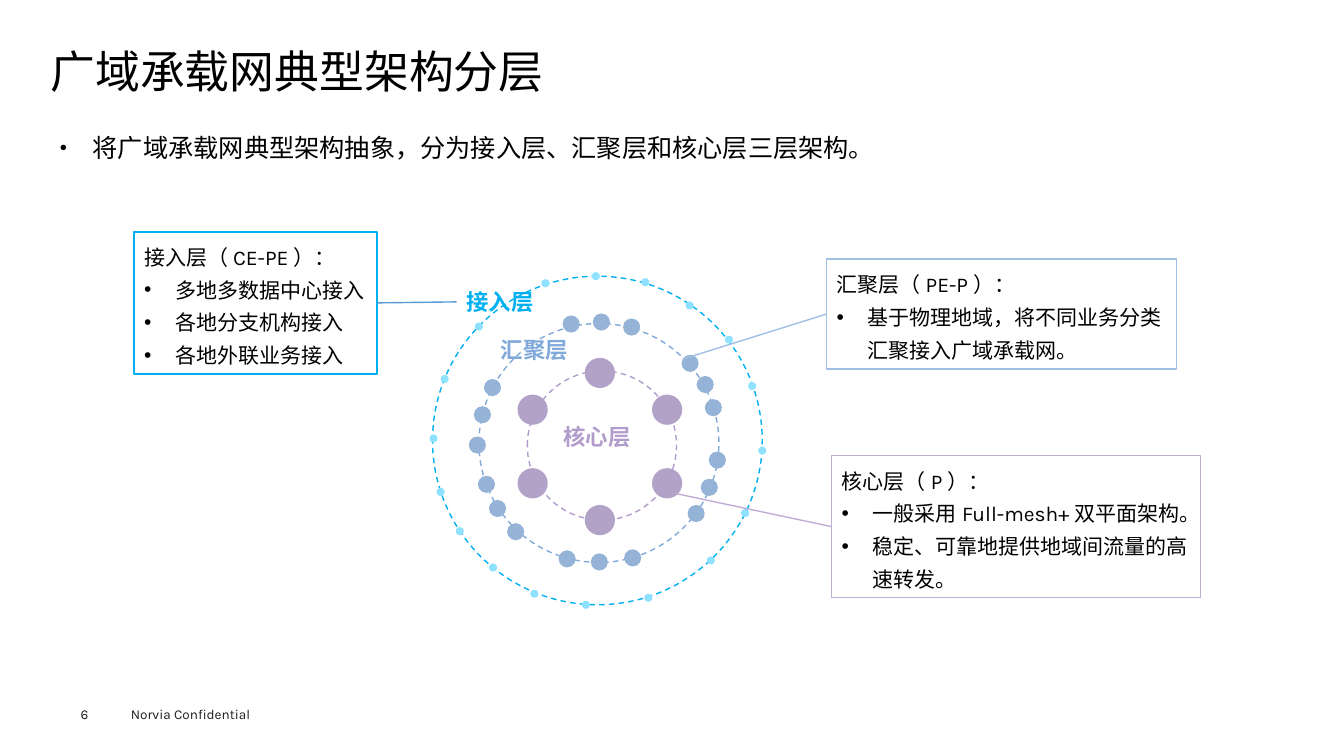
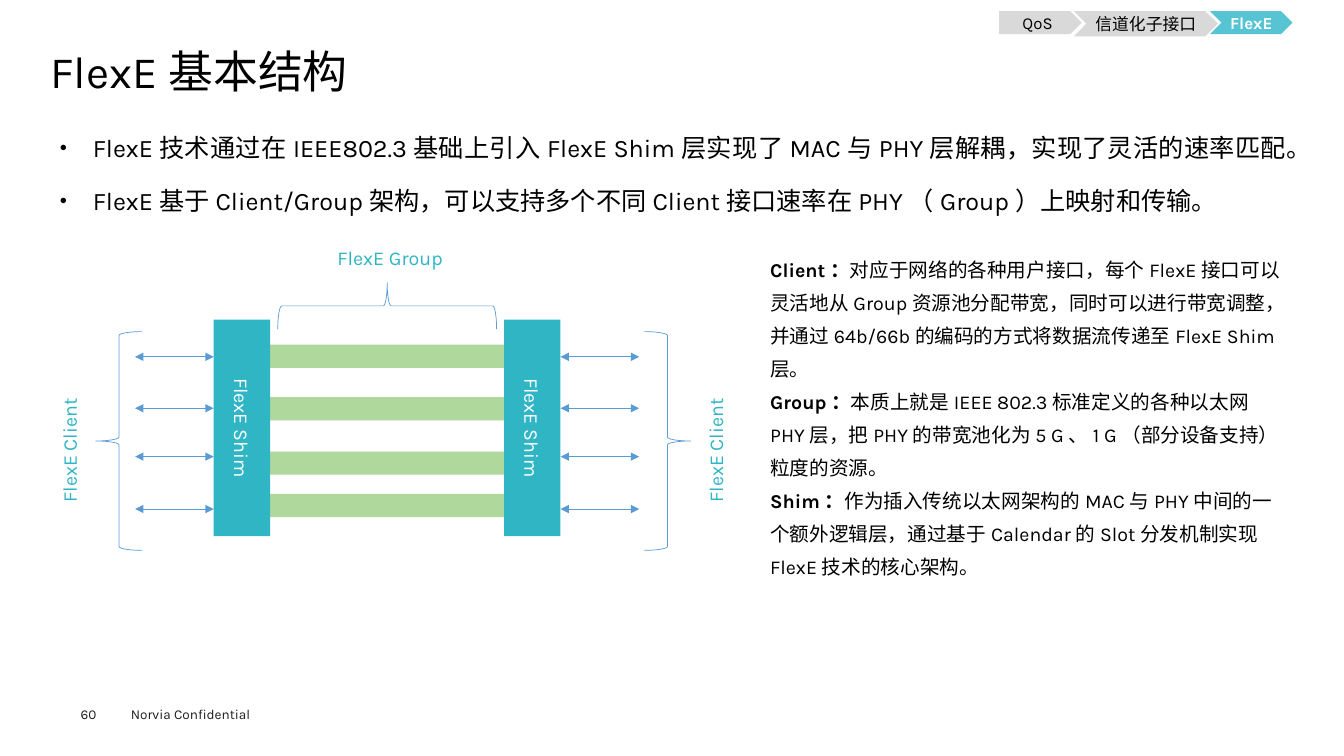
from math import cos, radians, sin

from lxml.etree import SubElement
from pptx import Presentation
from pptx.dml.color import RGBColor
from pptx.enum.dml import MSO_LINE_DASH_STYLE as DASH
from pptx.enum.shapes import MSO_CONNECTOR as CONN, MSO_SHAPE as KIND
from pptx.enum.text import MSO_ANCHOR as ANCHOR, PP_ALIGN as ALIGN
from pptx.oxml.ns import qn
from pptx.util import Inches, Pt

BLACK = RGBColor(0x00, 0x00, 0x00)
WHITE = RGBColor(0xFF, 0xFF, 0xFF)
INK = RGBColor(0x1D, 0x1D, 0x1B)
SKY = RGBColor(0x00, 0xB0, 0xF0)
PALE = RGBColor(0x8F, 0xE2, 0xFF)
BLUE = RGBColor(0x81, 0xAA, 0xDB)
STEEL = RGBColor(0x95, 0xB3, 0xD7)
MIST = RGBColor(0xA0, 0xBF, 0xE4)
LILAC = RGBColor(0xB2, 0x9C, 0xCC)
PLUM = RGBColor(0xB3, 0xA2, 0xC7)
MAUVE = RGBColor(0xBF, 0xAD, 0xD4)
LINK = RGBColor(0x5B, 0x9B, 0xD5)
TEAL = RGBColor(0x30, 0xB5, 0xC5)
AQUA = RGBColor(0x56, 0xC4, 0xD2)
GREEN = RGBColor(0xAF, 0xD8, 0x9C)
GREY = RGBColor(0xD9, 0xD9, 0xD9)

# Text formats
INSETS = ("margin_left", "margin_top", "margin_right", "margin_bottom")
FLAT = dict.fromkeys(INSETS, 0)
MID = {"vertical_anchor": ANCHOR.MIDDLE}
CENTER = {"alignment": ALIGN.CENTER}
TITLE = {"line_spacing": 0.9}
BODY = {"alignment": ALIGN.JUSTIFY, "line_spacing": 1.4}
NOTE = {"line_spacing": 1.3}


def draw(slide, kind, at, fill=None, line=None, width=1):
    """Add a preset shape, or a text box when kind is None."""
    rect = [Inches(n) for n in at]
    if kind is None:
        return slide.shapes.add_textbox(*rect)
    shape = slide.shapes.add_shape(kind, *rect)
    shape.shadow.inherit = False
    for form, color in ((shape.fill, fill), (shape.line.fill, line)):
        if color is None:
            form.background()
        else:
            form.solid()
            form.fore_color.rgb = color
    if line is not None:
        shape.line.width = Pt(width)
    return shape


def write(shape, paras, size, color=BLACK, bold=False, frame={}, para={},
          mark=None, first=0, indent=0.31, scale=100, before=0, vert=None):
    """Fill in text; a tuple is a bold lead and its plain rest."""
    box = shape.text_frame
    for key, val in {"word_wrap": True, "vertical_anchor": ANCHOR.TOP, **frame}.items():
        setattr(box, key, val)
    if vert:
        box._bodyPr.set("vert", vert)
    for i, item in enumerate(paras):
        par = box.paragraphs[0] if i == 0 else box.add_paragraph()
        if mark and i >= first:
            ppr = par._p.get_or_add_pPr()
            ppr.set("marL", str(Inches(indent)))
            ppr.set("indent", str(-Inches(indent)))
            SubElement(ppr, qn("a:buSzPct")).set("val", str(scale * 1000))
            SubElement(ppr, qn("a:buFont")).set("typeface", "Arial")
            SubElement(ppr, qn("a:buChar")).set("char", mark)
        for key, val in {"alignment": ALIGN.LEFT, **para}.items():
            setattr(par, key, val)
        if i and before:
            par.space_before = Pt(before)
        pair = isinstance(item, tuple)
        for j, text in enumerate(item if pair else [item]):
            run = par.add_run()
            run.text = text
            look = {"name": "Karla", "size": Pt(size), "bold": j == 0 if pair else bold}
            for key, val in look.items():
                setattr(run.font, key, val)
            run.font.color.rgb = color


deck = Presentation()
deck.slide_width, deck.slide_height = Inches(13.33), Inches(7.5)

# Title, body and footer of each slide
PAGES = [
    ("6", "广域承载网典型架构分层",
     ["将广域承载网典型架构抽象，分为接入层、汇聚层和核心层三层架构。"]),
    ("60", "FlexE基本结构",
     ["FlexE技术通过在IEEE802.3基础上引入FlexE Shim层实现了MAC与PHY层解耦，实现了灵活的速率匹配。",
      "FlexE基于Client/Group架构，可以支持多个不同Client接口速率在PHY（Group）上映射和传输。"]),
]
for num, title, points in PAGES:
    slide = deck.slides.add_slide(deck.slide_layouts[6])
    write(draw(slide, None, (1.2, 6.95, 1.6, 0.27)), ["Norvia Confidential"], 9.7, INK)
    write(draw(slide, None, (0.8, 7, 0.55, 0.16)), [num], 9.7, INK, frame=FLAT)
    write(draw(slide, None, (0.5, 0.49, 12.35, 0.53)), [title], 32, frame=FLAT, para=TITLE)
    write(draw(slide, None, (0.5, 1.15, 12.35, 5.34)), points, 18, para=BODY,
          frame=dict(zip(INSETS, map(Inches, (0.09, 0.04, 0.09, 0.04)))),
          mark="●", indent=0.33, scale=50, before=7.9)
rings, flex = deck.slides
links = []  # slide, start, end, colour, width, arrows, joins

# Slide 1: rings
for at, color in [((4.29, 2.74, 3.27, 3.26), SKY), ((4.75, 3.21, 2.38, 2.37), BLUE),
                  ((5.23, 3.68, 1.48, 1.48), LILAC)]:
    draw(rings, KIND.OVAL, at, line=color).line.dash_style = DASH.DASH

# Slide 1: nodes on the rings
EDGE = [(5.37, 2.77), (4.71, 3.2), (5.87, 2.7), (6.36, 2.76), (7.19, 3.33), (7.42, 3.79),
        (7.52, 4.43), (6.8, 2.99), (7.01, 5.52), (7.35, 5.05), (5.26, 5.85), (4.33, 4.84),
        (4.85, 5.59), (4.52, 5.23), (6.39, 5.89), (5.77, 5.96), (4.37, 3.72), (4.26, 4.31)]
HUBS = [(5.58, 3.13), (5.88, 3.11), (6.18, 3.16), (6.76, 3.52), (6.91, 3.73), (6.99, 3.96),
        (6.19, 5.45), (5.86, 5.49), (5.54, 5.46), (7.03, 4.48), (6.95, 4.75), (6.82, 5.01),
        (5.03, 5.19), (4.85, 4.96), (4.74, 4.72), (4.65, 4.33), (4.7, 4.03), (4.8, 3.76)]
CORE = [(5.8 + 0.77 * cos(radians(a)), 4.28 + 0.73 * sin(radians(a)))
        for a in range(30, 390, 60)]
for spots, size, color in [(HUBS, 0.17, STEEL), (EDGE, 0.08, PALE), (CORE, 0.3, PLUM)]:
    for x, y in spots:
        draw(rings, KIND.OVAL, (x, y, size, size), color)

# Slide 1: ring names
names = []
for text, x, y, color in [("接入层", 4.53, 2.81, SKY), ("汇聚层", 4.87, 3.29, BLUE),
                          ("核心层", 5.49, 4.15, LILAC)]:
    names.append(draw(rings, None, (x, y, 0.88, 0.37)))
    write(names[-1], [text], 16, color, bold=True, frame={"word_wrap": False})

# Slide 1: callouts
NOTES = [
    ((1.33, 2.3, 2.41, 1.41), SKY, LINK, 3, (3.74, 3), (4.53, 2.99), names[0],
     ["接入层（CE-PE）：", "多地多数据中心接入", "各地分支机构接入", "各地外联业务接入"]),
    ((8.2, 2.57, 3.47, 1.09), MIST, MIST, 1, (8.2, 3.11), (6.78, 3.56), None,
     ["汇聚层（PE-P）：", "基于物理地域，将不同业务分类汇聚接入广域承载网。"]),
    ((8.25, 4.52, 3.66, 1.41), MAUVE, MAUVE, 1, (8.25, 5.23), (6.72, 4.9), None,
     ["核心层（P）：", "一般采用Full-mesh+双平面架构。", "稳定、可靠地提供地域间流量的高速转发。"]),
]
for at, edge, color, side, start, end, goal, lines in NOTES:
    note = draw(rings, KIND.RECTANGLE, at, line=edge)
    write(note, lines, 15, para=NOTE, mark="•", first=1)
    links.append((rings, start, end, color, 1, False, (note, side, goal)))

# Slide 2: lanes and shims
for y in (3.42, 3.94, 4.48, 4.9):
    draw(flex, KIND.RECTANGLE, (2.66, y, 2.34, 0.23), GREEN)
for x in (2.12, 5):
    shim = draw(flex, KIND.RECTANGLE, (x, 3.17, 0.56, 2.15), TEAL)
    write(shim, ["FlexE Shim"], 14, WHITE, frame=MID, para=CENTER, vert="vert")

# Slide 2: client arrows
for x in (2.12, 6.34):
    for y in (3.54, 4.05, 4.53, 5.05):
        links.append((flex, (x, y), (x - 0.78, y), LINK, 0.5, True, None))

# Slide 2: braces and their names
for x, y, turn in [(0.95, 3.29, 0), (6.39, 3.29, 180), (3.61, 1.95, 90)]:
    draw(flex, KIND.LEFT_BRACE, (x, y, 0.46, 2.17), line=LINK, width=0.5).rotation = turn
for text, at, vert in [("FlexE Client", (0.52, 3.64, 0.44, 1.66), "vert270"),
                       ("FlexE Client", (6.93, 3.64, 0.44, 1.66), "vert270"),
                       ("FlexE Group", (3.04, 2.39, 1.66, 0.44), None)]:
    write(draw(flex, None, at), [text], 14, TEAL, para=CENTER, vert=vert)

# Slide 2: terms
write(draw(flex, None, (7.54, 2.42, 5.31, 3.07)), [
    ("Client：", "对应于网络的各种用户接口，每个FlexE接口可以灵活地从Group资源池分配带宽，"
     "同时可以进行带宽调整，并通过64b/66b的编码的方式将数据流传递至FlexE Shim层。"),
    ("Group：", "本质上就是IEEE 802.3标准定义的各种以太网PHY层，"
     "把PHY的带宽池化为5 G、1 G（部分设备支持）粒度的资源。"),
    ("Shim：", "作为插入传统以太网架构的MAC与PHY中间的一个额外逻辑层，"
     "通过基于Calendar的Slot分发机制实现FlexE技术的核心架构。"),
], 14, para={"line_spacing": 1.4})

# Slide 2: chapter steps
for text, kind, at, fill, color in [
        ("QoS", KIND.PENTAGON, (9.91, 0.11, 0.82, 0.23), GREY, BLACK),
        ("FlexE", KIND.CHEVRON, (12, 0.11, 0.82, 0.23), AQUA, WHITE),
        ("信道化子接口", KIND.CHEVRON, (10.65, 0.11, 1.43, 0.25), GREY, BLACK)]:
    write(draw(flex, kind, at, fill), [text], 12, color, bold=color == WHITE,
          frame={**FLAT, **MID}, para=CENTER)

# Connectors of both slides
for slide, start, end, color, width, arrows, joins in links:
    wire = slide.shapes.add_connector(CONN.STRAIGHT, *[Inches(n) for n in start + end])
    wire.line.color.rgb = color
    wire.line.width = Pt(width)
    if arrows:
        for tag in ("a:headEnd", "a:tailEnd"):
            SubElement(wire.line._get_or_add_ln(), qn(tag)).set("type", "triangle")
    SubElement(wire._element.spPr, qn("a:effectLst"))
    if joins:
        note, side, goal = joins
        wire.begin_connect(note, side)
        if goal is not None:
            wire.end_connect(goal, 1)

deck.save("out.pptx")
